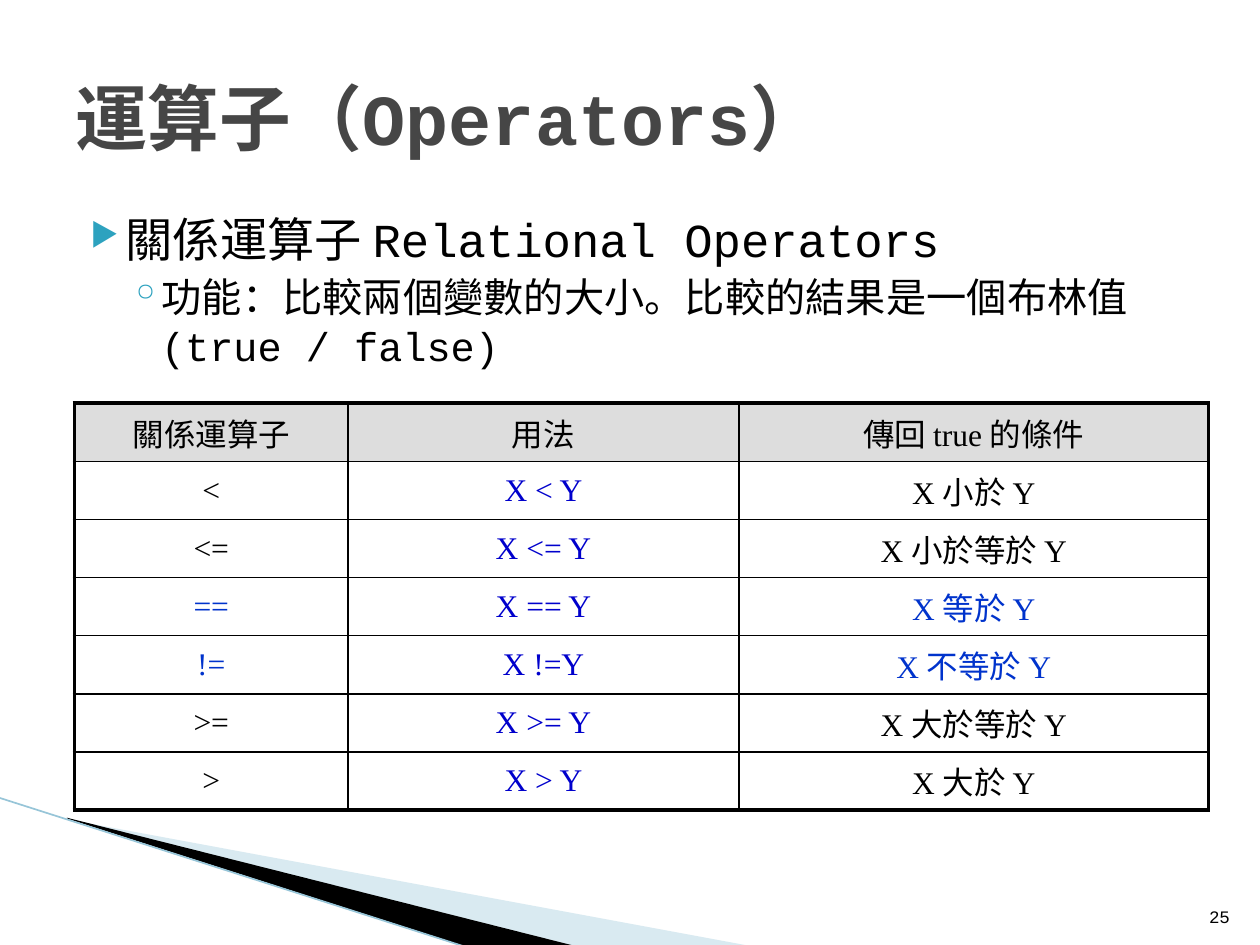
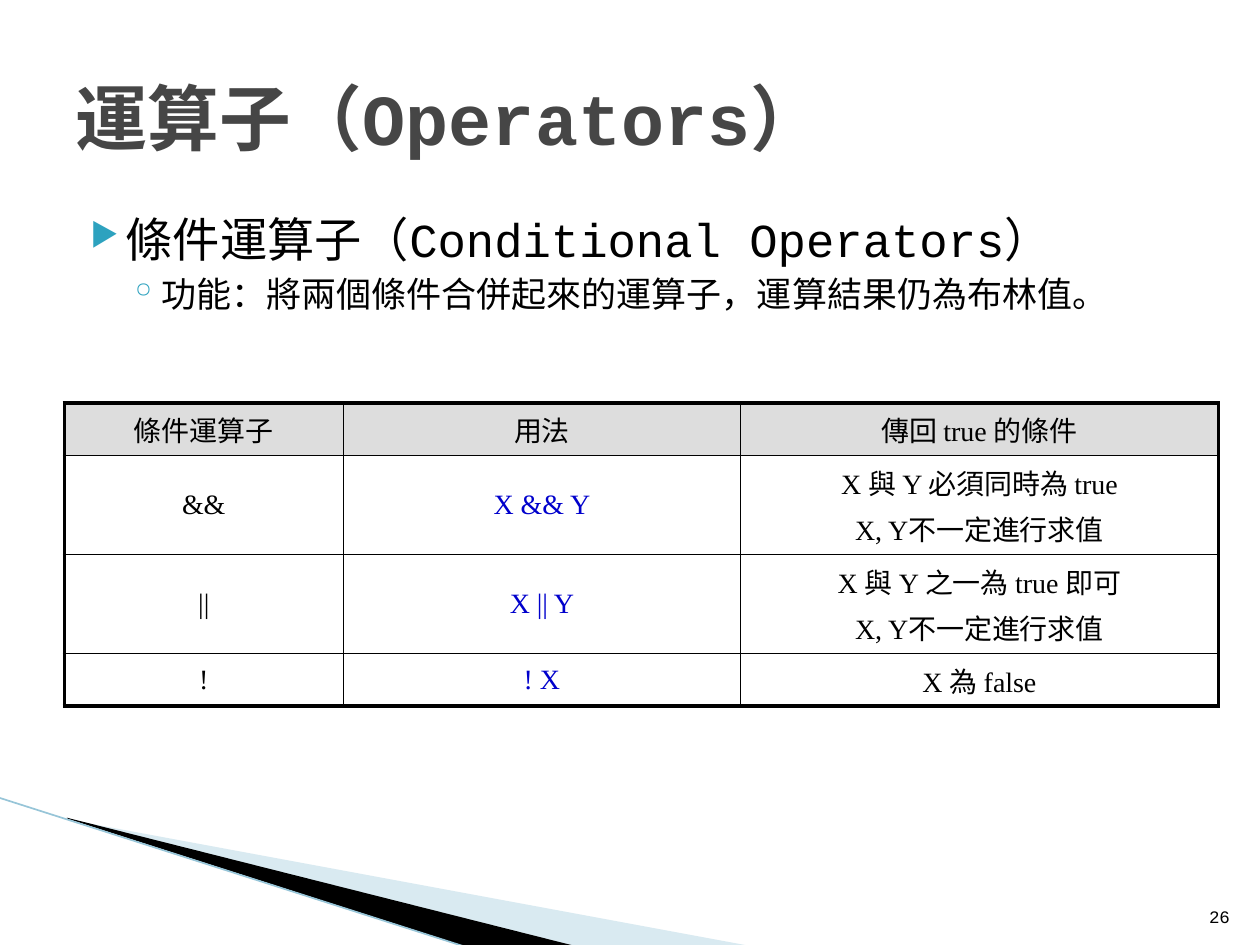
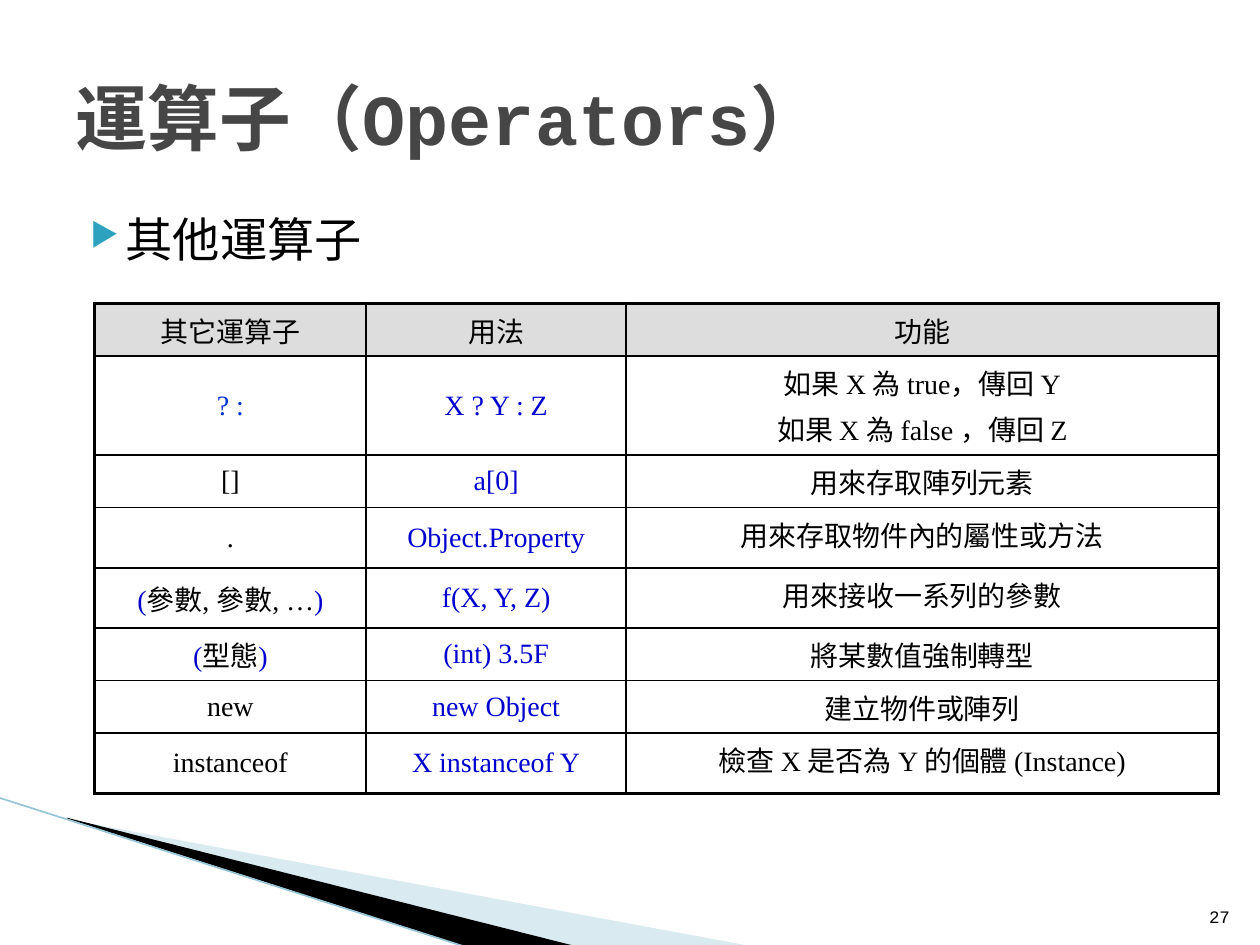
from lxml import etree
from pptx import Presentation
from pptx.dml.color import RGBColor
from pptx.enum.shapes import MSO_CONNECTOR
from pptx.enum.text import MSO_ANCHOR, PP_ALIGN
from pptx.oxml.ns import qn
from pptx.util import Pt

# Shared style
BLACK = RGBColor(0x00, 0x00, 0x00)
TITLE_GREY = RGBColor(0x46, 0x46, 0x46)
HEADER_GREY = RGBColor(0xDD, 0xDD, 0xDD)
USAGE_BLUE = RGBColor(0x00, 0x00, 0xCC)
KEY_BLUE = RGBColor(0x00, 0x33, 0xCC)
BULLET_TEAL = RGBColor(0x2D, 0xA2, 0xBF)
PALE_TEAL = RGBColor(0xA0, 0xCB, 0xDC)
EDGE_TEAL = RGBColor(0x97, 0xC5, 0xD8)
CODE_FONT = "Courier New"
TABLE_FONT = "Times New Roman"
LEFT, CENTER, RIGHT = PP_ALIGN.LEFT, PP_ALIGN.CENTER, PP_ALIGN.RIGHT
TOP, MIDDLE, BOTTOM = MSO_ANCHOR.TOP, MSO_ANCHOR.MIDDLE, MSO_ANCHOR.BOTTOM
STRAIGHT = MSO_CONNECTOR.STRAIGHT

TITLE = "運算子（Operators）"
TITLE_BOX = (36, 21.6, 648, 90)
NUMBER_BOX = (681.12, 504.72, 28.8, 28.8)
THICK, THIN = 2.25, 1
# Bullet levels: left margin, hanging indent, space before, character, size
BULLETS = [(28.8, -20.16, 4, "▶", 68), (48.96, -18, 3.2, "◦", 100)]


def points(values):
    return [Pt(value) for value in values]


def write(para, text, size=18, font=CODE_FONT, color=BLACK, bold=False, align=LEFT):
    para.alignment = align
    span = para.add_run()
    span.text = text
    span.font.size = Pt(size)
    span.font.name = font
    span.font.bold = bold
    span.font.color.rgb = color


def add_element(parent, tag, **attributes):
    child = etree.SubElement(parent, qn(tag))
    for name, value in attributes.items():
        child.set(name, str(value))
    return child


def add_text_frame(page, box, anchor=TOP):
    frame = page.shapes.add_textbox(*points(box)).text_frame
    frame.word_wrap = True
    frame.vertical_anchor = anchor
    return frame


def add_wedge(page, corners, color, opacity=None):
    start, *rest = [points(corner) for corner in corners]
    builder = page.shapes.build_freeform(*start)
    builder.add_line_segments(rest, close=True)
    wedge = builder.convert_to_shape()
    wedge.shadow.inherit = False
    wedge.line.fill.background()
    wedge.fill.solid()
    wedge.fill.fore_color.rgb = color
    if opacity is not None:
        fill_color = wedge.fill._xPr.find(".//" + qn("a:srgbClr"))
        add_element(fill_color, "a:alpha", val=opacity * 1000)


def add_corner_decoration(page):
    add_wedge(page, [(39.6, 468.5), (428.4, 540.5), (328.3, 540.5), (39.6, 468)],
              PALE_TEAL, opacity=40)
    add_wedge(page, [(38.2, 467.3), (329, 540.7), (267.8, 541.4), (38.9, 468)], BLACK)
    edge = page.shapes.add_connector(STRAIGHT, *points((-0.7, 455.8, 267.1, 541.4)))
    edge.line.color.rgb = EDGE_TEAL
    edge.line.width = Pt(0.95)
    add_element(edge._element.spPr, "a:effectLst")


def add_title(page, box):
    title = page.shapes.title
    title.left, title.top, title.width, title.height = points(box)
    title.text_frame.vertical_anchor = MIDDLE
    write(title.text_frame.paragraphs[0], TITLE, size=41, color=TITLE_GREY, bold=True)


def add_bullets(page, box, lines):
    frame = add_text_frame(page, box)
    for level, (text, size) in enumerate(lines):
        para = frame.add_paragraph() if level else frame.paragraphs[0]
        margin, indent, space, character, percent = BULLETS[level]
        para.level = level
        para.space_before = Pt(space)
        write(para, text, size=size)
        properties = para._p.get_or_add_pPr()
        properties.set("marL", str(Pt(margin)))
        properties.set("indent", str(Pt(indent)))
        bullet_color = add_element(properties, "a:buClr")
        add_element(bullet_color, "a:srgbClr", val=BULLET_TEAL)
        add_element(properties, "a:buSzPct", val=percent * 1000)
        add_element(properties, "a:buChar", char=character)


def add_borders(cell, widths):
    properties = cell._tc.get_or_add_tcPr()
    for side, width in zip("LRTB", widths):
        line = add_element(properties, f"a:ln{side}", w=Pt(width))
        fill = add_element(line, "a:solidFill")
        add_element(fill, "a:srgbClr", val=BLACK)


def fill_cell(cell, content, size, color):
    """Content is text, one line per paragraph, or a list of (text, colour) spans."""
    if isinstance(content, str):
        lines = [[(line, color)] for line in content.split("\n")]
    else:
        lines = [content]
    for index, spans in enumerate(lines):
        para = cell.text_frame.paragraphs[0]
        if index:
            para = cell.text_frame.add_paragraph()
            para.space_before = Pt(0.2 * size)
        for text, span_color in spans:
            write(para, text, size=size, font=TABLE_FONT, color=span_color, align=CENTER)


def add_operator_table(page, corner, widths, heights, rows, size):
    box = (*corner, sum(widths), sum(heights))
    table = page.shapes.add_table(len(rows), len(widths), *points(box)).table
    table.first_row = table.horz_banding = False
    for column, width in zip(table.columns, widths):
        column.width = Pt(width)
    last_row, last_column = len(rows) - 1, len(widths) - 1
    for r, (row, height) in enumerate(zip(rows, heights)):
        table.rows[r].height = Pt(height)
        for c, content in enumerate(row):
            cell = table.cell(r, c)
            outer_sides = (c == 0, c == last_column, r == 0, r == last_row)
            add_borders(cell, [THICK if outer else THIN for outer in outer_sides])
            if r == 0:
                cell.fill.solid()
                cell.fill.fore_color.rgb = HEADER_GREY
            else:
                cell.fill.background()
            is_body = r > 0
            cell.vertical_anchor = MIDDLE if is_body and c < last_column else TOP
            fill_cell(cell, content, size, USAGE_BLUE if is_body and c == 1 else BLACK)


def add_operator_slide(deck, number, body_height, bullets, **table):
    page = deck.slides.add_slide(deck.slide_layouts[5])
    add_corner_decoration(page)
    add_bullets(page, (36, 116.64, 648, body_height), bullets)
    frame = add_text_frame(page, NUMBER_BOX, BOTTOM)
    write(frame.paragraphs[0], str(number), size=10, align=RIGHT)
    add_title(page, TITLE_BOX)
    add_operator_table(page, **table)


def key(text):
    return [(text, KEY_BLUE)]


def bracketed(text):
    return [("(", USAGE_BLUE), (text, BLACK), (")", USAGE_BLUE)]


deck = Presentation()
deck.slide_width, deck.slide_height = Pt(720), Pt(540)

# Relational operators
add_operator_slide(
    deck, 25, 356.4,
    [("關係運算子 Relational Operators", 27),
     ("功能：比較兩個變數的大小。比較的結果是一個布林值 (true / false)", 23)],
    corner=(42.5, 230.4), widths=(156.5, 223.2, 268.5), heights=[33.25] * 7, size=18,
    rows=[
        ("關係運算子", "用法", "傳回 true 的條件"),
        ("<", "X < Y", "X 小於 Y"),
        ("<=", "X <= Y", "X 小於等於 Y"),
        (key("=="), "X == Y", key("X 等於 Y")),
        (key("!="), "X !=Y", key("X 不等於 Y")),
        (">=", "X >= Y", "X 大於等於 Y"),
        (">", "X > Y", "X 大於 Y"),
    ])

# Conditional operators
add_operator_slide(
    deck, 26, 68.4,
    [("條件運算子（Conditional Operators）", 27),
     ("功能：將兩個條件合併起來的運算子，運算結果仍為布林值。", 20)],
    corner=(36.7, 230.4), widths=(159.5, 227, 273), heights=(30, 56.5, 56.5, 30), size=16,
    rows=[
        ("條件運算子", "用法", "傳回 true 的條件"),
        ("&&", "X && Y", "X 與 Y 必須同時為 true\nX, Y不一定進行求值"),
        ("||", "X || Y", "X 與 Y 之一為 true 即可\nX, Y不一定進行求值"),
        ("!", "! X", "X 為 false"),
    ])

# Other operators
add_operator_slide(
    deck, 27, 40.3,
    [("其他運算子", 27)],
    corner=(54, 173.5), widths=(155.3, 148.5, 338.5),
    heights=(30, 56.5, 30, 34.5, 34.5, 30, 30, 34.5), size=16,
    rows=[
        ("其它運算子", "用法", "功能"),
        (key("? :"), "X ? Y : Z", "如果 X 為 true，傳回 Y\n如果 X 為 false ，傳回 Z"),
        ("[]", "a[0]", "用來存取陣列元素"),
        (".", "Object.Property", "用來存取物件內的屬性或方法"),
        (bracketed("參數, 參數, …"), "f(X, Y, Z)", "用來接收一系列的參數"),
        (bracketed("型態"), "(int) 3.5F", "將某數值強制轉型"),
        ("new", "new Object", "建立物件或陣列"),
        ("instanceof", "X instanceof Y", "檢查 X 是否為 Y 的個體 (Instance)"),
    ])

deck.save("out.pptx")
